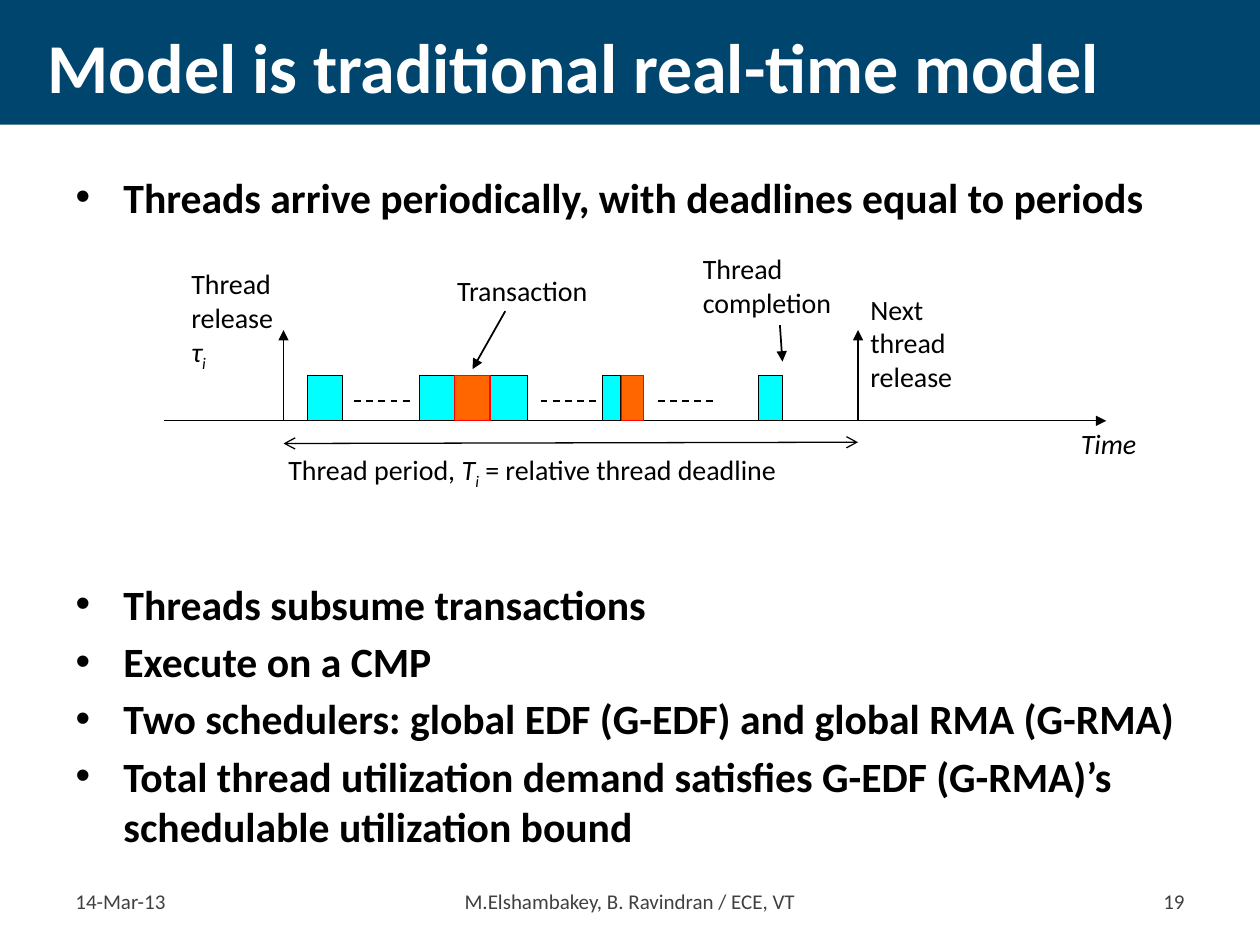
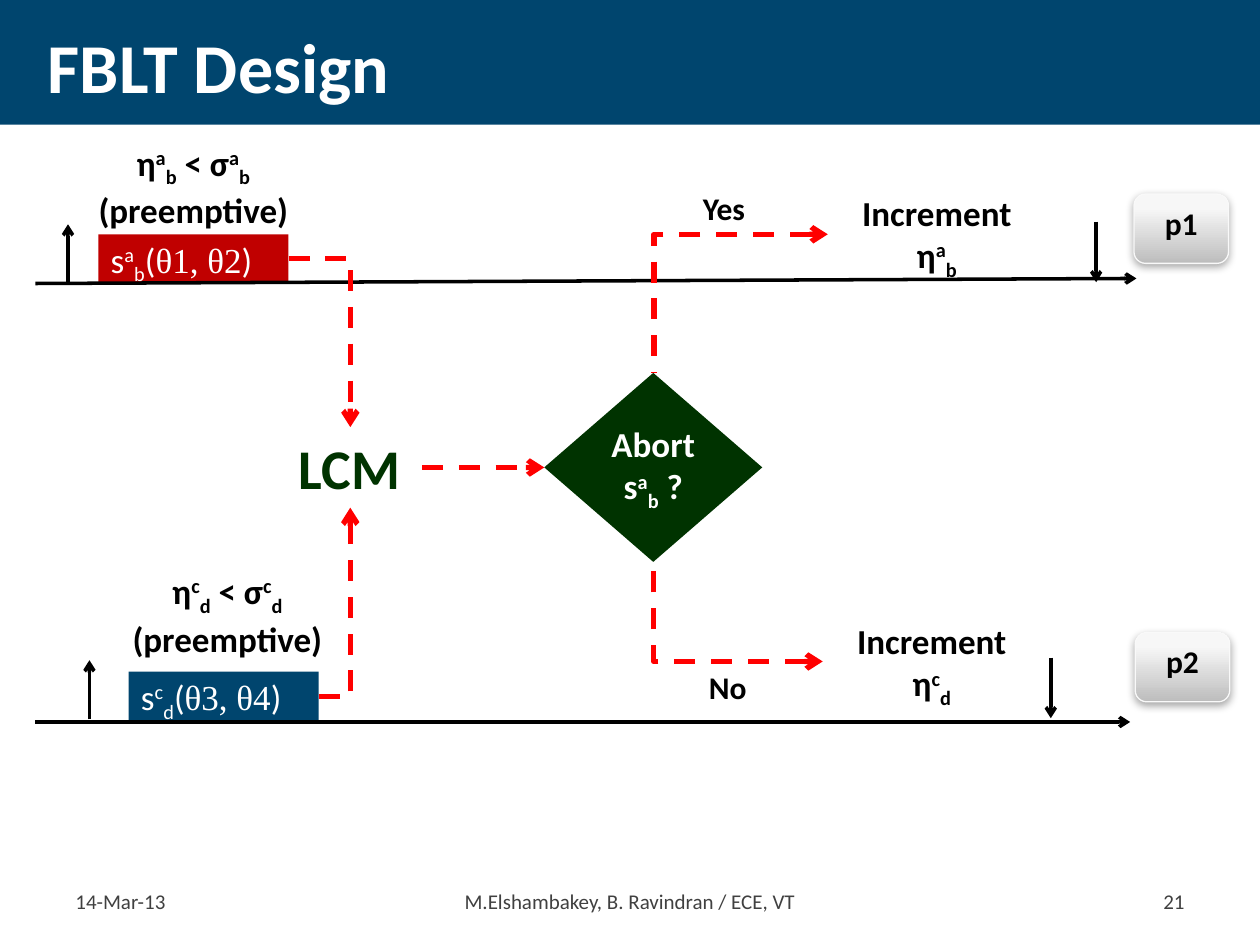
"""Build two slides on a real-time thread model and the FBLT design."""
import lxml.etree
import pptx
import pptx.dml.color
import pptx.enum.dml
import pptx.enum.shapes
import pptx.enum.text
import pptx.oxml.ns
import pptx.util

Inches = pptx.util.Inches
Pt = pptx.util.Pt
RGBColor = pptx.dml.color.RGBColor
Shape = pptx.enum.shapes.MSO_SHAPE
Align = pptx.enum.text.PP_ALIGN
Anchor = pptx.enum.text.MSO_ANCHOR
qn = pptx.oxml.ns.qn

NAVY = RGBColor(0x00, 0x45, 0x6E)
WHITE = RGBColor(0xFF, 0xFF, 0xFF)
BLACK = RGBColor(0x00, 0x00, 0x00)
GREY = RGBColor(0x40, 0x40, 0x40)
CYAN = RGBColor(0x00, 0xFF, 0xFF)
ORANGE = RGBColor(0xFF, 0x66, 0x00)
RED = RGBColor(0xFF, 0x00, 0x00)
DARK_RED = RGBColor(0xC0, 0x00, 0x00)
GREEN = RGBColor(0x00, 0x33, 0x00)
BUTTON_DARK = RGBColor(0xBD, 0xBD, 0xBD)
BUTTON_LIGHT = RGBColor(0xF7, 0xF7, 0xF7)
BUTTON_EDGE = RGBColor(0xF9, 0xF9, 0xF9)


def write(shape, paragraphs, size, color=BLACK, bold=False, align=Align.LEFT, anchor=Anchor.TOP):
    """Fill a shape with paragraphs of (text, style) runs."""
    frame = shape.text_frame
    frame.word_wrap = True
    frame.auto_size = pptx.enum.text.MSO_AUTO_SIZE.NONE
    frame.vertical_anchor = anchor
    for index, spans in enumerate(paragraphs):
        para = frame.add_paragraph() if index else frame.paragraphs[0]
        para.alignment = align
        for text, style in spans:
            span = para.add_run()
            span.text = text
            span.font.name = "Times New Roman" if style == "times" else "Calibri"
            span.font.size = Pt(size)
            span.font.bold = bold
            span.font.color.rgb = color
            if "italic" in style:
                span.font.italic = True
            if "super" in style:
                span.font._element.set("baseline", "30000")
            if "sub" in style:
                span.font._element.set("baseline", "-25000")


def draw_line(slide, start, end, width, color=BLACK, head=None, tail=None, dashed=False, bent=False):
    """Draw a straight line or a one-corner elbow that leaves start horizontally."""
    kinds = pptx.enum.shapes.MSO_CONNECTOR
    points = [Inches(value) for value in (*start, *end)]
    line = slide.shapes.add_connector(kinds.ELBOW if bent else kinds.STRAIGHT, *points)
    properties = line._element.spPr
    if bent:
        properties.find(qn("a:prstGeom")).set("prst", "bentConnector2")
    line.line.color.rgb = color
    line.line.width = Pt(width)
    if dashed:
        line.line.dash_style = pptx.enum.dml.MSO_LINE.DASH
    for tag, arrow in (("a:headEnd", head), ("a:tailEnd", tail)):
        if arrow:
            lxml.etree.SubElement(properties.find(qn("a:ln")), qn(tag)).set("type", arrow)
    lxml.etree.SubElement(properties, qn("a:effectLst"))


deck = pptx.Presentation()
deck.slide_width = Inches(10)
deck.slide_height = Inches(7.5)

model = deck.slides.add_slide(deck.slide_layouts[1])
design = deck.slides.add_slide(deck.slide_layouts[5])

band = model.shapes.add_shape(Shape.RECTANGLE, 0, 0, Inches(10), Inches(0.99))
band.shadow.inherit = False
band.fill.solid()
band.fill.fore_color.rgb = NAVY
band.line.fill.background()
deck.slide_master.shapes._spTree.insert(2, band._element)

for slide, heading, number in (
    (model, "Model is traditional real-time model", "19"),
    (design, "FBLT Design", "21"),
):
    title = slide.shapes.title
    title.left, title.top, title.width, title.height = [Inches(v) for v in (0.28, 0.1, 9.45, 0.84)]
    write(title, [[(heading, "")]], 40, WHITE, bold=True, anchor=Anchor.MIDDLE)
    for left, width, text, align in (
        (0.5, 1.19, "14-Mar-13", Align.LEFT),
        (1.85, 6.3, "M.Elshambakey, B. Ravindran / ECE, VT", Align.CENTER),
        (8.31, 1.19, number, Align.RIGHT),
    ):
        footer = slide.shapes.add_textbox(Inches(left), Inches(6.95), Inches(width), Inches(0.4))
        write(footer, [[(text, "")]], 12, GREY, align=align, anchor=Anchor.MIDDLE)

body = model.placeholders[1]
body.left, body.top, body.width, body.height = [Inches(v) for v in (0.5, 1.31, 9, 5.42)]
bullets = (
    "Threads arrive periodically, with deadlines equal to periods",
    "Threads subsume transactions",
    "Execute on a CMP",
    "Two schedulers: global EDF (G-EDF) and global RMA (G-RMA)",
    "Total thread utilization demand satisfies G-EDF (G-RMA)’s schedulable utilization bound",
)
write(body, [[(bullet, "")] for bullet in bullets], 23.8, bold=True)
for para, gap in zip(body.text_frame.paragraphs, (0, 204, 4.2, 4.2, 4.2)):
    para.space_before = Pt(gap)
    para._p.get_or_add_pPr().set("marL", str(Inches(0.38)))
    para._p.get_or_add_pPr().set("indent", str(Inches(-0.38)))

AXIS = 3.34
RELEASE, NEXT_RELEASE = 2.25, 6.81
draw_line(model, (1.3, AXIS), (8.78, AXIS), 0.75, tail="triangle")
draw_line(model, (RELEASE, 3.52), (NEXT_RELEASE, 3.51), 0.75, head="arrow", tail="arrow")
for x in (RELEASE, NEXT_RELEASE):
    draw_line(model, (x, AXIS), (x, 2.62), 1, tail="triangle")
for x in (2.81, 4.29, 5.22):
    draw_line(model, (x, 3.18), (x + 0.45, 3.18), 1, dashed=True)

for left, width, fill, edge in (
    (2.44, 0.28, CYAN, BLACK),
    (3.33, 0.86, CYAN, BLACK),
    (3.61, 0.28, ORANGE, RED),
    (4.78, 0.15, CYAN, BLACK),
    (4.93, 0.18, ORANGE, RED),
    (6.02, 0.19, CYAN, BLACK),
):
    job = model.shapes.add_shape(
        Shape.RECTANGLE, Inches(left), Inches(AXIS - 0.36), Inches(width), Inches(0.36))
    job.shadow.inherit = False
    job.fill.solid()
    job.fill.fore_color.rgb = fill
    job.line.color.rgb = edge
    job.line.width = Pt(0.75)

draw_line(model, (4.01, 2.47), (3.75, 2.93), 1, tail="triangle")
draw_line(model, (6.19, 2.58), (6.21, 2.87), 1, tail="triangle")

period = [("Thread period, ", ""), ("T", "italic"), ("i", "italic sub"),
          (" = relative thread deadline", "")]
for left, top, width, height, paragraphs in (
    (1.42, 2.07, 1.05, 0.96, [[("Thread release", "")], [("τ", "italic"), ("i", "italic sub")]]),
    (3.53, 2.12, 1.41, 0.37, [[("Transaction", "")]]),
    (5.48, 1.95, 1.41, 0.64, [[("Thread completion", "")]]),
    (6.81, 2.27, 1.06, 0.91, [[("Next thread release", "")]]),
    (8.48, 3.34, 0.72, 0.37, [[("Time", "italic")]]),
    (2.19, 3.54, 4.85, 0.37, [period]),
):
    label = model.shapes.add_textbox(Inches(left), Inches(top), Inches(width), Inches(height))
    write(label, paragraphs, 16)

for upper, lower, args, fill, left, top, condition_at, increment_at in (
    ("a", "b", "θ1, θ2", DARK_RED, 0.78, 1.86, (0.67, 1.07), (6.57, 1.47)),
    ("c", "d", "θ3, θ4", NAVY, 1.02, 5.33, (0.94, 4.47), (6.53, 4.87)),
):
    marks = [(upper, "super"), (lower, "sub")]
    section = design.shapes.add_shape(
        Shape.RECTANGLE, Inches(left), Inches(top), Inches(1.51), Inches(0.39))
    section.shadow.inherit = False
    section.fill.solid()
    section.fill.fore_color.rgb = fill
    section.line.fill.background()
    write(section, [[("s", ""), *marks, ("(", ""), (args, "times"), (")", "")]], 20, WHITE)
    section.text_frame.paragraphs[0].line_spacing = 0.85
    condition = [("η", ""), *marks, (" < σ", ""), *marks, (" (preemptive)", "")]
    increment = [("Increment η", ""), *marks]
    for (x, y), spans in ((condition_at, condition), (increment_at, increment)):
        label = design.shapes.add_textbox(Inches(x), Inches(y), Inches(1.73), Inches(0.77))
        write(label, [spans], 20, bold=True, align=Align.CENTER)

for start, end in (
    ((0.28, 2.25), (9.02, 2.21)),
    ((0.28, 5.73), (8.97, 5.73)),
    ((0.54, 2.25), (0.54, 1.78)),
    ((8.7, 1.76), (8.7, 2.24)),
    ((0.71, 5.71), (0.71, 5.24)),
    ((8.34, 5.22), (8.34, 5.7)),
):
    draw_line(design, start, end, 2, tail="arrow")

for name, left, top in (("p1", 9, 1.54), ("p2", 9.01, 5.02)):
    button = design.shapes.add_shape(
        Shape.ROUNDED_RECTANGLE, Inches(left), Inches(top), Inches(0.75), Inches(0.55))
    button.fill.gradient()
    button.fill.gradient_angle = 90
    for stop, position, color in zip(
            button.fill.gradient_stops, (0, 0.8), (BUTTON_DARK, BUTTON_LIGHT)):
        stop.position = position
        stop.color.rgb = color
    button.line.color.rgb = BUTTON_EDGE
    button.line.width = Pt(0.75)
    button.shadow.inherit = False
    shadow = lxml.etree.SubElement(
        button._element.spPr.find(qn("a:effectLst")), qn("a:outerShdw"),
        blurRad=str(Pt(5)), dist=str(Pt(1.8)), dir="5400000", rotWithShape="0")
    shade = lxml.etree.SubElement(shadow, qn("a:srgbClr"), val="000000")
    lxml.etree.SubElement(shade, qn("a:alpha"), val="35000")
    write(button, [[(name, "")]], 18, bold=True, align=Align.CENTER)

decision = design.shapes.add_shape(
    Shape.DIAMOND, Inches(4.32), Inches(2.96), Inches(1.73), Inches(1.5))
decision.shadow.inherit = False
decision.fill.solid()
decision.fill.fore_color.rgb = GREEN
decision.line.fill.background()
write(decision, [[("Abort s", ""), ("a", "super"), ("b", "sub"), (" ?", "")]], 20, WHITE,
      bold=True, align=Align.CENTER, anchor=Anchor.MIDDLE)

for text, left, top, width, height, size, color in (
    ("LCM", 2.21, 3.39, 1.13, 0.64, 32, GREEN),
    ("Yes", 5.47, 1.45, 0.55, 0.4, 18, BLACK),
    ("No", 5.5, 5.25, 0.55, 0.4, 18, BLACK),
):
    label = design.shapes.add_textbox(Inches(left), Inches(top), Inches(width), Inches(height))
    write(label, [[(text, "")]], size, color, bold=True, align=Align.CENTER)

for start, end, head, tail, bent in (
    ((2.29, 2.05), (2.78, 3.39), None, "arrow", True),
    ((2.53, 5.53), (2.78, 4.03), None, "arrow", True),
    ((3.35, 3.71), (4.32, 3.71), None, "arrow", False),
    ((6.57, 1.86), (5.19, 2.96), "arrow", None, True),
    ((6.53, 5.25), (5.19, 4.46), "arrow", None, True),
):
    draw_line(design, start, end, 3, RED, head, tail, dashed=True, bent=bent)

deck.save("out.pptx")
